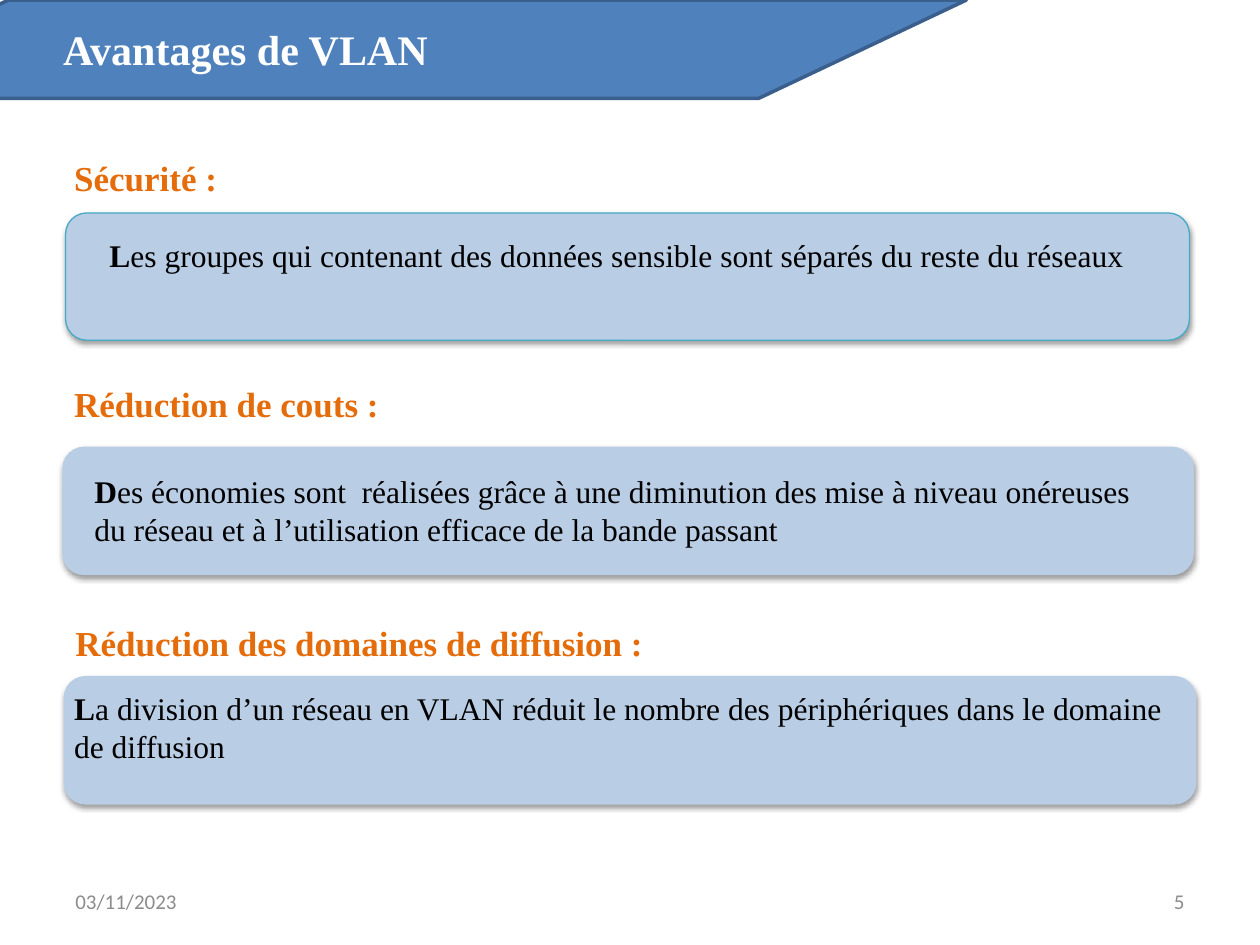
from dataclasses import dataclass

from lxml import etree
from pptx import Presentation
from pptx.dml.color import RGBColor
from pptx.enum.shapes import MSO_SHAPE
from pptx.enum.text import MSO_ANCHOR, MSO_AUTO_SIZE, PP_ALIGN
from pptx.oxml.ns import qn
from pptx.util import Inches, Pt

PARALLELOGRAM = MSO_SHAPE.PARALLELOGRAM
ROUNDED = MSO_SHAPE.ROUNDED_RECTANGLE
TOP, MIDDLE = MSO_ANCHOR.TOP, MSO_ANCHOR.MIDDLE
LEFT, RIGHT = PP_ALIGN.LEFT, PP_ALIGN.RIGHT
NO_FIT = MSO_AUTO_SIZE.NONE
TITLE_ONLY = 5


@dataclass(frozen=True)
class Theme:
    serif: str = "Times New Roman"
    sans: str = "Calibri"
    banner: str = "4F81BD"
    banner_line: str = "3A5F8C"
    panel: str = "B9CDE5"
    panel_accent: str = "46AAC5"
    heading: str = "E46C0A"
    body: str = "000000"
    title: str = "FFFFFF"
    footer: str = "8C8C8C"
    title_size: int = 24
    heading_size: int = 20
    body_size: int = 18
    footer_size: int = 12


class SlideBuilder:
    """Holds the theme and the current slide."""

    def __init__(self, prs, theme):
        self.theme = theme
        self.s = prs.slides.add_slide(prs.slide_layouts[TITLE_ONLY])

    def style(self, p, font, size, color, bold=None, align=LEFT):
        p.alignment = align
        p.font.name = font
        p.font.size = Pt(size)
        p.font.bold = bold
        p.font.color.rgb = RGBColor.from_string(color)

    def shape(self, kind, box, fill, line, width):
        sp = self.s.shapes.add_shape(kind, *map(Inches, box))
        sp.shadow.inherit = False
        sp.fill.solid()
        sp.fill.fore_color.rgb = RGBColor.from_string(fill)
        sp.line.color.rgb = RGBColor.from_string(line)
        sp.line.width = Pt(width)
        return sp

    def text(self, box, anchor=TOP):
        tf = self.s.shapes.add_textbox(*map(Inches, box)).text_frame
        tf.word_wrap = True
        tf.vertical_anchor = anchor
        return tf.paragraphs[0]

    def title(self, text, box):
        t = self.theme
        sp = self.s.shapes.title
        sp.left, sp.top, sp.width, sp.height = map(Inches, box)
        tf = sp.text_frame
        tf.text = text
        tf.auto_size = NO_FIT
        tf.vertical_anchor = TOP
        self.style(tf.paragraphs[0], t.serif, t.title_size, t.title, True)

    def banner(self, box, slant):
        t = self.theme
        sp = self.shape(PARALLELOGRAM, box, t.banner, t.banner_line, 2)
        sp.adjustments[0] = slant
        # Keep the banner behind the title
        self.s.shapes.title.element.addprevious(sp.element)

    def heading(self, text, box):
        t = self.theme
        p = self.text(box)
        p.text = text
        self.style(p, t.serif, t.heading_size, t.heading, True)

    def panel(self, box, line):
        sp = self.shape(ROUNDED, box, self.theme.panel, line, 0.75)
        effects = sp.element.spPr.find(qn("a:effectLst"))
        shadow = etree.SubElement(
            effects, qn("a:outerShdw"), blurRad=str(Pt(3.1)), dist=str(Pt(1.6)),
            dir="5400000", rotWithShape="0")
        color = etree.SubElement(shadow, qn("a:srgbClr"), val="000000")
        etree.SubElement(color, qn("a:alpha"), val="38000")

    def body(self, text, box):
        t = self.theme
        p = self.text(box)
        self.style(p, t.serif, t.body_size, t.body)
        # Bold initial letter
        for part, bold in ((text[0], True), (text[1:], False)):
            r = p.add_run()
            r.text = part
            r.font.bold = bold

    def footer(self, text, left, align):
        t = self.theme
        p = self.text((left, 6.95, 2.33, 0.4), MIDDLE)
        p.text = text
        self.style(p, t.sans, t.footer_size, t.footer, align=align)


def main():
    prs = Presentation()
    prs.slide_width, prs.slide_height = Inches(10), Inches(7.5)
    theme = Theme()
    slide = SlideBuilder(prs, theme)

    # Title banner
    slide.banner((-1.58, 0, 9.25, 0.78), 2.112)
    slide.title("Avantages de VLAN", (0.4, 0.14, 4.1, 0.5))

    # Advantages: heading, its box, panel box, panel line, body, its box
    advantages = [
        ("Sécurité :", (0.49, 1.19, 3.83, 0.44),
         (0.52, 1.69, 8.92, 1.01), theme.panel_accent,
         "Les groupes qui contenant des données sensible sont séparés "
         "du reste du réseaux", (0.77, 1.82, 8.48, 0.71)),
        ("Réduction de couts :", (0.49, 2.99, 2.75, 0.44),
         (0.5, 3.55, 8.97, 1.01), theme.panel,
         "Des économies sont  réalisées grâce à une diminution des mise à "
         "niveau onéreuses du réseau et à l’utilisation efficace de la bande "
         "passant", (0.65, 3.7, 8.72, 0.71)),
        ("Réduction des domaines de diffusion :", (0.5, 4.88, 4.83, 0.44),
         (0.51, 5.37, 8.98, 1.01), theme.panel,
         "La division d’un réseau en VLAN réduit le nombre des périphériques "
         "dans le domaine de diffusion", (0.49, 5.42, 8.88, 0.71)),
    ]
    for heading, heading_box, panel_box, line, body, body_box in advantages:
        slide.heading(heading, heading_box)
        slide.panel(panel_box, line)
        slide.body(body, body_box)

    # Date and slide number
    slide.footer("03/11/2023", 0.5, LEFT)
    slide.footer("5", 7.17, RIGHT)

    prs.save("out.pptx")


if __name__ == "__main__":
    main()
